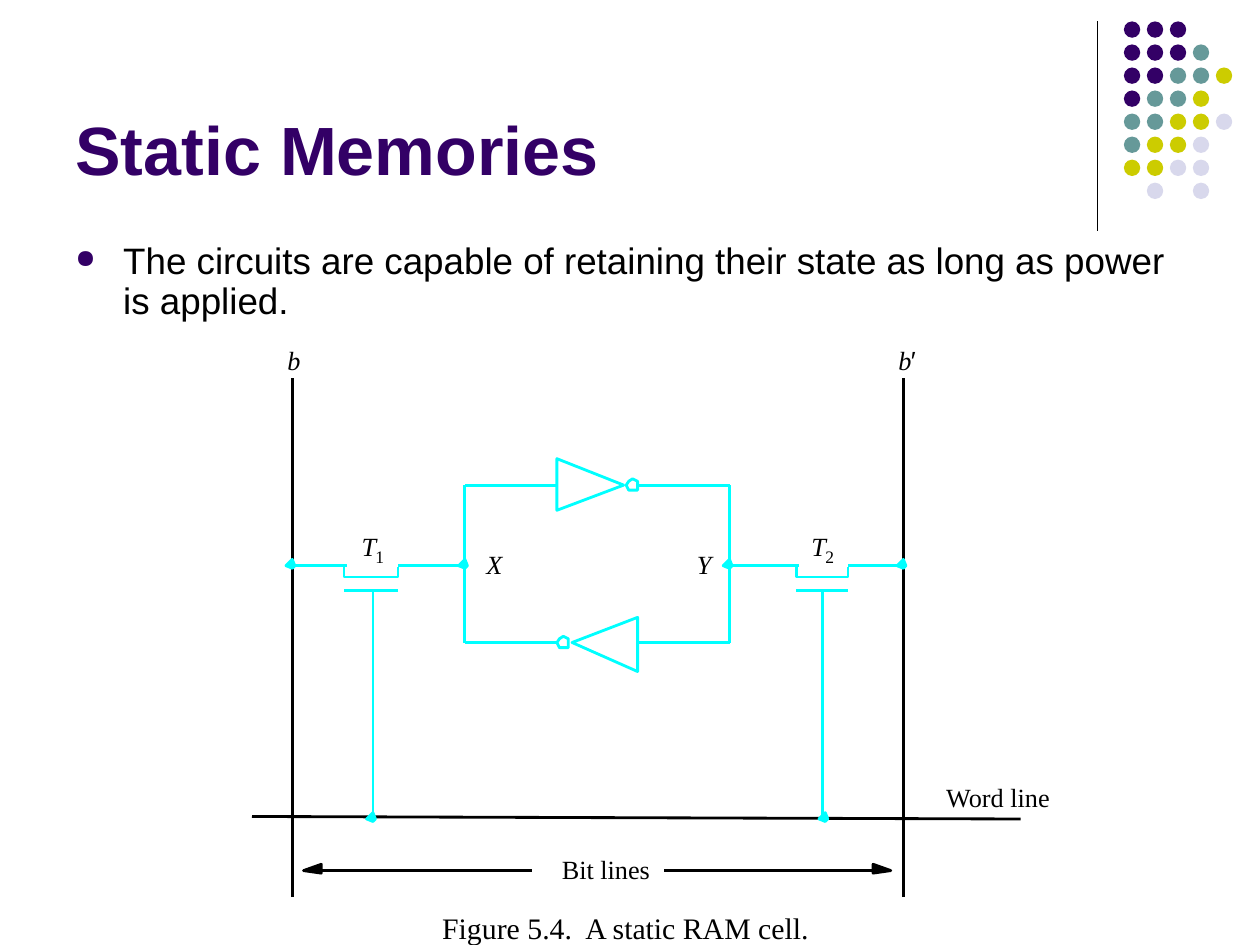
from lxml import etree
from pptx import Presentation
from pptx.dml.color import RGBColor
from pptx.enum.shapes import MSO_CONNECTOR, MSO_SHAPE
from pptx.enum.text import MSO_ANCHOR, MSO_AUTO_SIZE
from pptx.oxml.ns import qn
from pptx.util import Inches, Pt

STRAIGHT = MSO_CONNECTOR.STRAIGHT
OVAL, RECT = MSO_SHAPE.OVAL, MSO_SHAPE.RECTANGLE
TOP, BOTTOM = MSO_ANCHOR.TOP, MSO_ANCHOR.BOTTOM
GROW = MSO_AUTO_SIZE.SHAPE_TO_FIT_TEXT

HEX = {"black": "000000", "white": "FFFFFF", "cyan": "00FFFF", "purple": "330066",
       "teal": "669999", "lime": "CCCC00", "mist": "D8D8EC"}
SANS, SERIF = "Arial", "Times New Roman"
THICK = 1.62


def rgb(name):
    return RGBColor.from_string(HEX[name])


def write(para, text, size=15, font=SERIF, color="black", bold=False, italic=False):
    run = para.add_run()
    run.text = text
    face = run.font
    face.size, face.name = Pt(size), font
    face.bold, face.italic = bold, italic
    face.color.rgb = rgb(color)


def bullet(para, color, size, indent):
    """Give the paragraph a round bullet (size in percent) and a hanging indent."""
    props = para._p.get_or_add_pPr()
    props.set("marL", str(Inches(indent)))
    props.set("indent", str(-Inches(indent)))
    tint = etree.SubElement(props, qn("a:buClr"))
    etree.SubElement(tint, qn("a:srgbClr"), val=HEX[color])
    etree.SubElement(props, qn("a:buSzPct"), val=str(size * 1000))
    etree.SubElement(props, qn("a:buChar"), char="●")


class Canvas:
    def __init__(self, slide):
        self.shapes = slide.shapes

    def style(self, shape, fill=None, line=None, width=THICK):
        shape.shadow.inherit = False
        if fill:
            shape.fill.solid()
            shape.fill.fore_color.rgb = rgb(fill)
        else:
            shape.fill.background()
        if line:
            shape.line.color.rgb = rgb(line)
            shape.line.width = Pt(width)
        else:
            shape.line.fill.background()

    def line(self, x1, y1, x2, y2, color="cyan", width=THICK):
        link = self.shapes.add_connector(STRAIGHT, *map(Inches, (x1, y1, x2, y2)))
        link.line.color.rgb = rgb(color)
        link.line.width = Pt(width)
        etree.SubElement(link._element.spPr, qn("a:effectLst"))

    def preset(self, kind, x, y, w, h, **look):
        self.style(self.shapes.add_shape(kind, *map(Inches, (x, y, w, h))), **look)

    def outline(self, x, y, points, **look):
        """Draw a closed outline from points given as offsets from (x, y)."""
        spots = [(Inches(x + dx), Inches(y + dy)) for dx, dy in points]
        form = self.shapes.build_freeform(*spots[0], scale=1.0)
        form.add_line_segments(spots[1:], close=True)
        self.style(form.convert_to_shape(), **look)

    def block(self, x, y, w, h, text, anchor=TOP, **form):
        frame = self.shapes.add_textbox(*map(Inches, (x, y, w, h))).text_frame
        frame.word_wrap = True
        frame.vertical_anchor = anchor
        write(frame.paragraphs[0], text, **form)
        return frame.paragraphs[0]

    def label(self, x, y, w, h, text, **form):
        frame = self.shapes.add_textbox(*map(Inches, (x, y, w, h))).text_frame
        frame.margin_left = frame.margin_right = 0
        frame.margin_top = frame.margin_bottom = 0
        frame.word_wrap = False
        frame.auto_size = GROW
        write(frame.paragraphs[0], text, **form)


def dots(art):
    tints = {"P": "purple", "T": "teal", "L": "lime", "M": "mist"}
    rows = ["PPP", "PPPT", "PPTTL", "PTTL", "TTLLM", "TLLM", "LLMM", " M M"]
    art.line(8.71, 0.17, 8.71, 1.83, "black", 0.75)
    for r, row in enumerate(rows):
        for c, key in enumerate(row):
            if key in tints:
                art.preset(OVAL, 8.92 + 0.73 / 4 * c, 0.17 + 1.28 / 7 * r,
                           0.13, 0.13, fill=tints[key])


def bus(art):
    """Draw the bit lines, the word line and the arrows between them."""
    art.line(8.1, 6.5, 2, 6.48, "black")
    for x in (2.32, 7.17):
        art.line(x, 7.12, x, 3, "black")
    for tip, back, end, side in ((2.41, 2.55, 4.22, 1), (7.07, 6.94, 5.27, -1)):
        art.line(back, 6.91, end, 6.91, "black")
        art.outline(tip, 6.91, [(0, 0), (0.14 * side, -0.05), (0.14 * side, 0.02)],
                    fill="black", line="black")


def latch(art):
    """Draw the two cross-coupled inverters."""
    art.outline(4.42, 3.64, [(0, 0), (0.53, 0.21), (0, 0.41)], line="cyan")
    art.outline(5.06, 4.9, [(0, 0), (-0.52, 0.2), (0, 0.43)], line="cyan")
    for y in (3.85, 5.1):
        art.line(4.42, y, 3.69, y)
        art.line(5.79, y, 5.06, y)
    for x in (3.69, 5.79):
        art.line(x, 5.1, x, 3.85)
    ring = [(0, -0.05), (-0.03, -0.03), (-0.05, 0), (-0.03, 0.04),
            (0.04, 0.04), (0.04, -0.03)]
    for x, y in ((5.02, 3.85), (4.47, 5.1)):
        art.outline(x, y, ring, fill="white", line="cyan")


def gate(art, start, left, right, end, stem):
    """Draw a transistor from left to right, with its leads and gate line."""
    art.line(left, 4.49, start, 4.49)
    art.line(stem, 6.48, stem, 4.69)
    art.line(right, 4.69, left, 4.69)
    art.preset(RECT, left, 4.49, right - left, 0.09, line="cyan")
    art.line(left + 0.02, 4.49, left + 0.53, 4.49, "white", 1.5)
    art.line(end, 4.49, right, 4.49)


def nodes(art):
    spots = [(x, 4.49) for x in (2.32, 3.69, 5.79, 7.17)] + [(2.96, 6.5), (6.55, 6.5)]
    for x, y in spots:
        art.outline(x, y, [(0, -0.05), (-0.05, 0), (0, 0.02), (0.02, 0)],
                    fill="cyan", line="cyan")


def names(art):
    for x, y, w, text in ((2.28, 2.73, 0.11, "b"), (7.13, 2.73, 0.11, "b"),
                          (2.87, 4.21, 0.12, "T"), (6.44, 4.21, 0.12, "T"),
                          (3.86, 4.35, 0.13, "X"), (5.53, 4.35, 0.12, "Y")):
        art.label(x, y, w, 0.25, text, italic=True)
    for x, text in ((2.98, "1"), (6.55, "2")):
        art.label(x, 4.33, 0.07, 0.17, text, size=10)
    art.label(7.23, 2.73, 0.07, 0.25, "′", font=SANS)
    art.label(7.51, 6.2, 0.84, 0.25, "Word line")
    art.label(4.46, 6.77, 0.7, 0.25, "Bit lines")
    art.label(3.51, 7.22, 2.94, 0.28, "Figure 5.4.  A static RAM cell.", size=17)


def main():
    deck = Presentation()
    deck.slide_width, deck.slide_height = Inches(10), Inches(7.5)
    art = Canvas(deck.slides.add_slide(deck.slide_layouts[6]))
    dots(art)
    art.block(0.5, 0.13, 8.25, 1.42, "Static Memories", anchor=BOTTOM,
              size=39, font=SANS, color="purple", bold=True)
    para = art.block(0.5, 1.88, 9, 0.79, "The circuits are capable of retaining "
                     "their state as long as power is applied.", size=21, font=SANS)
    para.line_spacing = 0.9
    bullet(para, "purple", 70, 0.38)
    bus(art)
    latch(art)
    gate(art, 2.32, 2.73, 3.16, 3.69, 2.96)
    gate(art, 5.79, 6.32, 6.73, 7.17, 6.53)
    nodes(art)
    names(art)
    deck.save("out.pptx")


if __name__ == "__main__":
    main()
